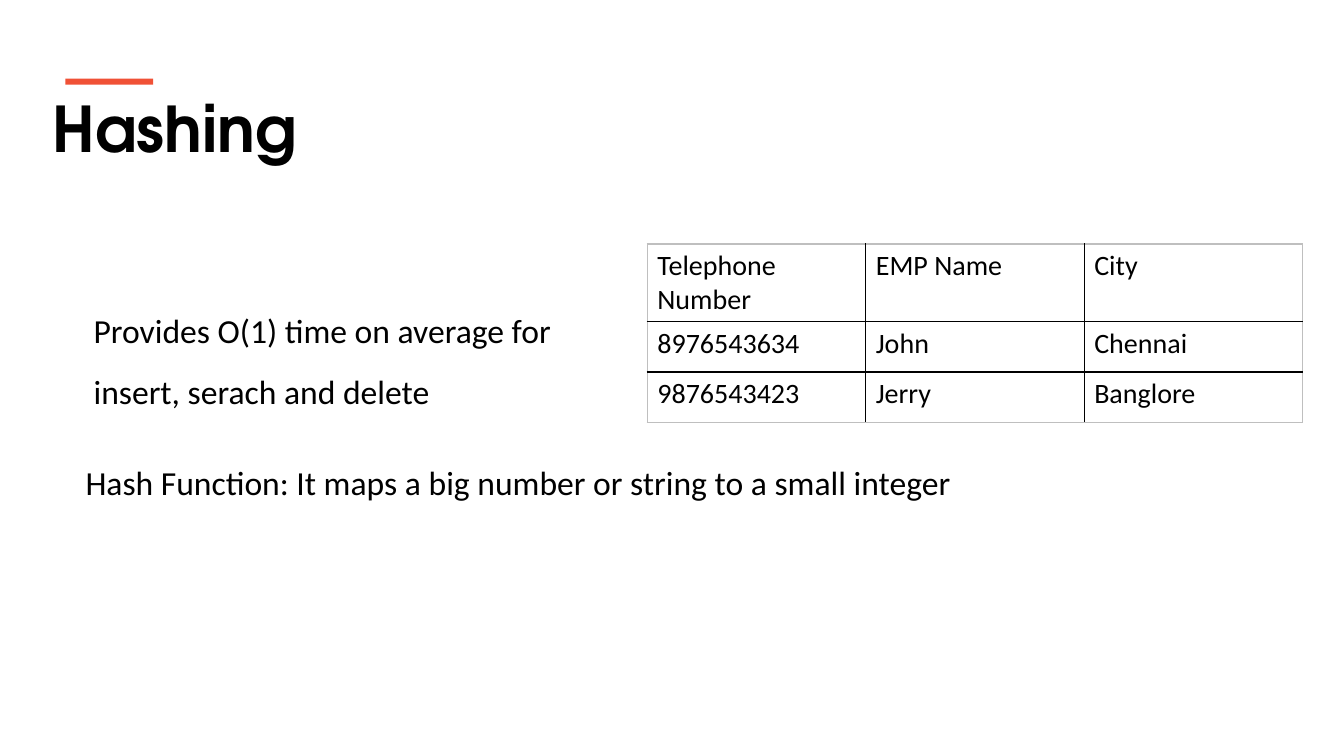
from lxml import etree
from pptx import Presentation
from pptx import util as u
from pptx.dml.color import RGBColor
from pptx.enum import shapes, text
from pptx.oxml.ns import qn

COLORS = {"ink": "000000", "accent": "F05136", "paper": "FFFFFF", "edge": "BFBFBF"}
TITLE = {"name": "TeX Gyre Adventor", "size": u.Pt(45), "bold": True}
BODY = {"name": "Calibri", "size": u.Pt(24), "bold": False}
CELL = {"name": "Calibri", "size": u.Pt(20), "bold": False}


def color(name):
    return RGBColor.from_string(COLORS[name])


class SlideBuilder:
    """Holds the style and the current slide."""

    def __init__(self, slide):
        self.slide = slide
        slide.background.fill.solid()
        slide.background.fill.fore_color.rgb = color("paper")

    def add_line(self, paragraph, line, style):
        run = paragraph.add_run()
        run.text = line
        for name, value in style.items():
            setattr(run.font, name, value)
        run.font.color.rgb = color("ink")

    def text_box(self, box, lines, style, spacing=1.0, hanging=0):
        shape = self.slide.shapes.add_textbox(*map(u.Inches, box))
        frame = shape.text_frame
        frame.word_wrap = True
        frame.auto_size = text.MSO_AUTO_SIZE.SHAPE_TO_FIT_TEXT
        for index, line in enumerate(lines):
            paragraph = frame.add_paragraph() if index else frame.paragraphs[0]
            paragraph.line_spacing = spacing
            if hanging:
                properties = paragraph._p.get_or_add_pPr()
                properties.set("marL", str(u.Inches(hanging)))
                properties.set("indent", str(-u.Inches(hanging)))
            self.add_line(paragraph, line, style)

    def bar(self, box, fill):
        shape = self.slide.shapes.add_shape(
            shapes.MSO_SHAPE.RECTANGLE, *map(u.Inches, box))
        shape.shadow.inherit = False
        shape.fill.solid()
        shape.fill.fore_color.rgb = color(fill)
        shape.line.fill.background()

    def borders(self, cell, sides):
        properties = cell._tc.get_or_add_tcPr()
        for index, (side, (name, width)) in enumerate(sides.items()):
            line = etree.Element(qn(f"a:ln{side}"), w=str(u.Pt(width)))
            fill = etree.SubElement(line, qn("a:solidFill"))
            etree.SubElement(fill, qn("a:srgbClr"), val=COLORS[name])
            properties.insert(index, line)

    def table(self, box, rows, heights):
        row_count, column_count = len(rows), len(rows[0])
        table = self.slide.shapes.add_table(
            row_count, column_count, *map(u.Inches, box)).table
        table.first_row = table.horz_banding = False
        edge, inner, header = ("edge", 1), ("ink", 1), ("ink", 1.5)
        # Horizontal rules from top to bottom, vertical rules from left to right
        across = [edge, header] + [inner] * (row_count - 2) + [edge]
        down = [edge] + [inner] * (column_count - 1) + [edge]
        for r, row in enumerate(rows):
            table.rows[r].height = u.Inches(heights[r])
            for c, value in enumerate(row):
                cell = table.cell(r, c)
                cell.fill.background()
                self.add_line(cell.text_frame.paragraphs[0], value, CELL)
                self.borders(cell, {"L": down[c], "R": down[c + 1],
                                    "T": across[r], "B": across[r + 1]})


def main():
    presentation = Presentation()
    presentation.slide_width = u.Inches(13.33)
    presentation.slide_height = u.Inches(7.5)
    builder = SlideBuilder(
        presentation.slides.add_slide(presentation.slide_layouts[6]))

    # Heading
    builder.text_box((0.42, 0.84, 12.18, 0.86), ["Hashing"], TITLE)
    builder.bar((0.65, 0.78, 0.87, 0.06), "accent")

    # Running time
    builder.text_box(
        (0.83, 2.83, 4.86, 1.25),
        ["Provides O(1) time on average for", "insert, serach and delete"],
        BODY, spacing=1.5, hanging=0.5)

    # Sample records
    builder.table(
        (6.42, 2.42, 6.5, 1.77),
        [("Telephone Number", "EMP Name", "City"),
         ("8976543634", "John", "Chennai"),
         ("9876543423", "Jerry", "Banglore")],
        heights=(0.77, 0.5, 0.5))

    # Definition
    builder.text_box(
        (0.75, 4.33, 8.86, 0.71),
        ["Hash Function: It maps a big number or string to a small integer"],
        BODY, spacing=1.5, hanging=0.5)

    presentation.save("out.pptx")


if __name__ == "__main__":
    main()
